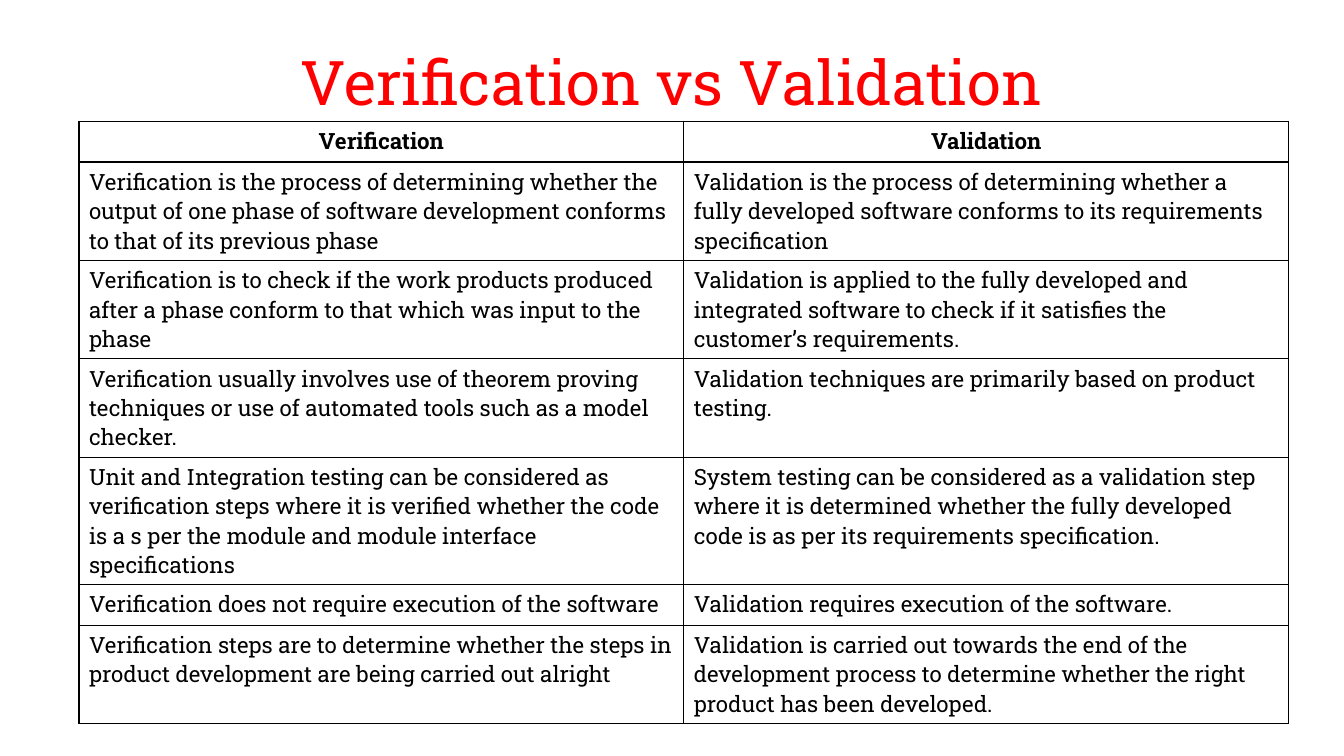
from dataclasses import dataclass

import lxml.etree
import pptx
import pptx.dml.color
import pptx.enum.text
import pptx.oxml.ns
import pptx.presentation
import pptx.slide
import pptx.table
import pptx.text.text
import pptx.util

Pt = pptx.util.Pt
RGB = pptx.dml.color.RGBColor
ALIGN = pptx.enum.text.PP_ALIGN
qn = pptx.oxml.ns.qn


@dataclass(frozen=True)
class Theme:
    font: str = "Roboto Slab"
    title: RGB = RGB(0xFF, 0x00, 0x00)
    ink: RGB = RGB(0x00, 0x00, 0x00)
    title_size: int = 44
    body_size: int = 16
    border: int = 1


@dataclass(frozen=True)
class Box:
    left: float
    top: float
    width: float
    height: float


@dataclass(frozen=True)
class Pair:
    verify: str
    valid: str
    lines: int = 3


THEME = Theme()
TITLE_BOX = Box(70.6, 13, 818.6, 89.3)
TABLE_BOX = Box(56.4, 86.6, 864, 430.3)
LINE_HEIGHT = 20.6
ROW_PAD = 8.5
HEAD = Pair("Verification", "Validation", 1)
PAIRS = [
    Pair("Verification is the process of determining whether the output of one phase "
         "of software development conforms to that of its previous phase",
         "Validation is the process of determining whether a fully developed software "
         "conforms to its requirements specification"),
    Pair("Verification is to check if the work products produced after a phase conform "
         "to that which was input to the phase",
         "Validation is applied to the fully developed and integrated software to check "
         "if it satisfies the customer’s requirements."),
    Pair("Verification usually involves use of theorem proving techniques or use of "
         "automated tools such as a model checker.",
         "Validation techniques are primarily based on product testing."),
    Pair("Unit and Integration testing can be considered as verification steps where it "
         "is verified whether the code is a s per the module and module interface "
         "specifications",
         "System testing can be considered as a validation step where it is determined "
         "whether the fully developed code is as per its requirements specification.", 4),
    Pair("Verification does not require execution of the software",
         "Validation requires execution of the software.", 1),
    Pair("Verification steps are to determine whether the steps in product development "
         "are being carried out alright",
         "Validation is carried out towards the end of the development process to "
         "determine whether the right product has been developed."),
]


def set_text(frame: pptx.text.text.TextFrame, text: str, size: int, color: RGB,
             align: ALIGN, bold: bool = False) -> None:
    frame.text = text
    para = frame.paragraphs[0]
    para.alignment = align
    font = para.runs[0].font
    font.name = THEME.font
    font.size = Pt(size)
    font.bold = bold
    font.color.rgb = color


def add_title(slide: pptx.slide.Slide, box: Box) -> None:
    shape = slide.shapes.add_textbox(Pt(box.left), Pt(box.top), Pt(box.width), Pt(box.height))
    frame = shape.text_frame
    frame.word_wrap = True
    frame.vertical_anchor = pptx.enum.text.MSO_ANCHOR.MIDDLE
    frame.margin_left = frame.margin_right = Pt(1.4)
    frame.margin_top = frame.margin_bottom = Pt(4.3)
    set_text(frame, "Verification vs Validation", THEME.title_size, THEME.title, ALIGN.CENTER)
    frame.paragraphs[0].space_before = Pt(10)


def set_border(cell: pptx.table._Cell) -> None:
    """Line all four sides; the lines must come before the fill in the cell's XML."""
    props = cell._tc.get_or_add_tcPr()
    for index, side in enumerate(("lnL", "lnR", "lnT", "lnB")):
        line = lxml.etree.Element(qn(f"a:{side}"), w=str(Pt(THEME.border)))
        fill = lxml.etree.SubElement(line, qn("a:solidFill"))
        lxml.etree.SubElement(fill, qn("a:srgbClr"), val=str(THEME.ink))
        props.insert(index, line)


def add_grid(slide: pptx.slide.Slide, box: Box, pairs: list[Pair]) -> None:
    """Draw the comparison; each row is as tall as its longest text needs."""
    frame = slide.shapes.add_table(len(pairs), 2, Pt(box.left), Pt(box.top),
                                   Pt(box.width), Pt(box.height))
    table = frame.table
    table.first_row = table.horz_banding = False
    for index, pair in enumerate(pairs):
        table.rows[index].height = Pt(LINE_HEIGHT * pair.lines + ROW_PAD)
        head = index == 0
        align = ALIGN.CENTER if head else ALIGN.LEFT
        for col, text in enumerate((pair.verify, pair.valid)):
            cell = table.cell(index, col)
            cell.fill.background()
            set_text(cell.text_frame, text, THEME.body_size, THEME.ink, align, head)
            set_border(cell)


def main() -> None:
    deck = pptx.Presentation()
    deck.slide_width, deck.slide_height = Pt(960), Pt(540)
    slide = deck.slides.add_slide(deck.slide_layouts[6])
    add_title(slide, TITLE_BOX)
    add_grid(slide, TABLE_BOX, [HEAD, *PAIRS])
    deck.save("out.pptx")


if __name__ == "__main__":
    main()
